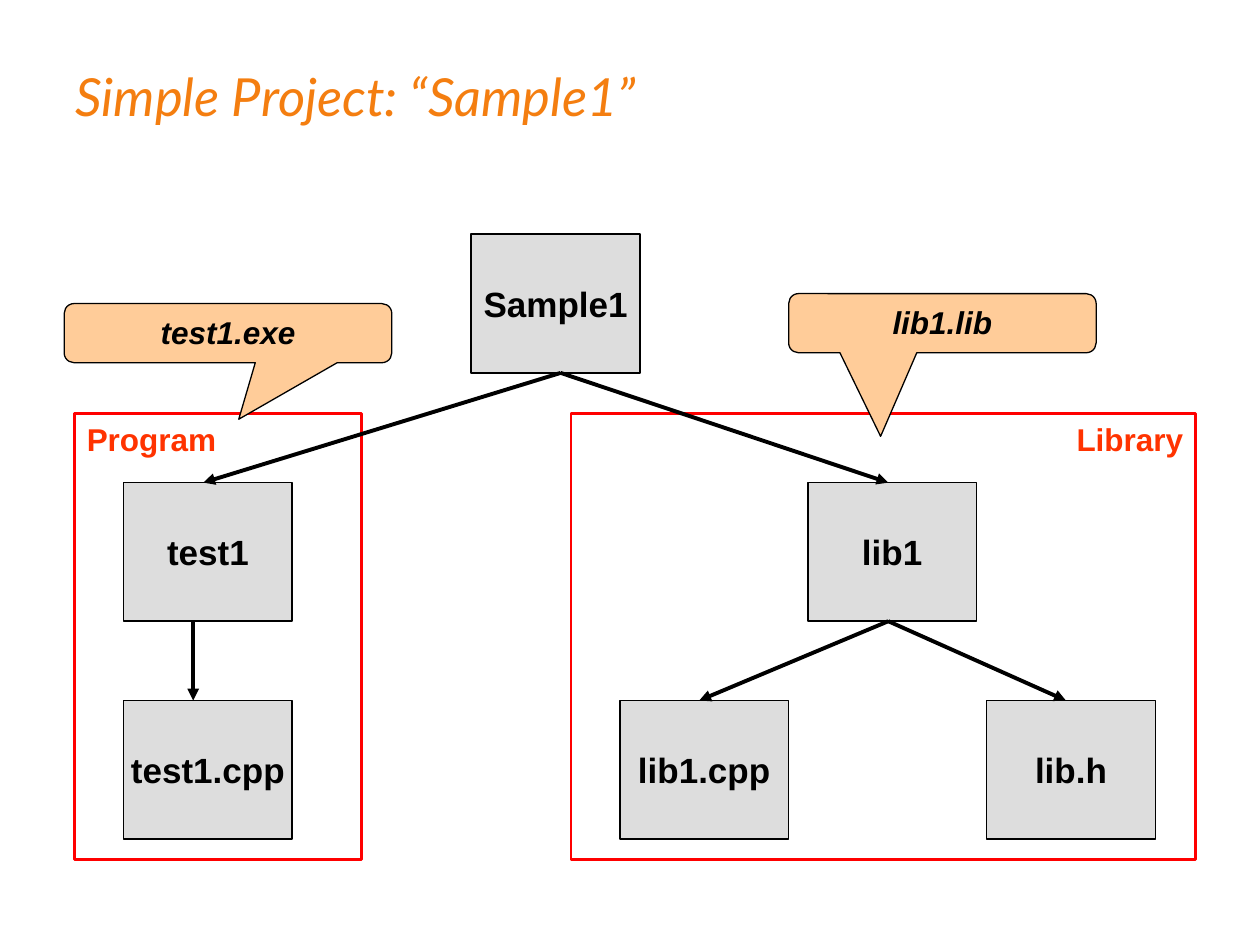
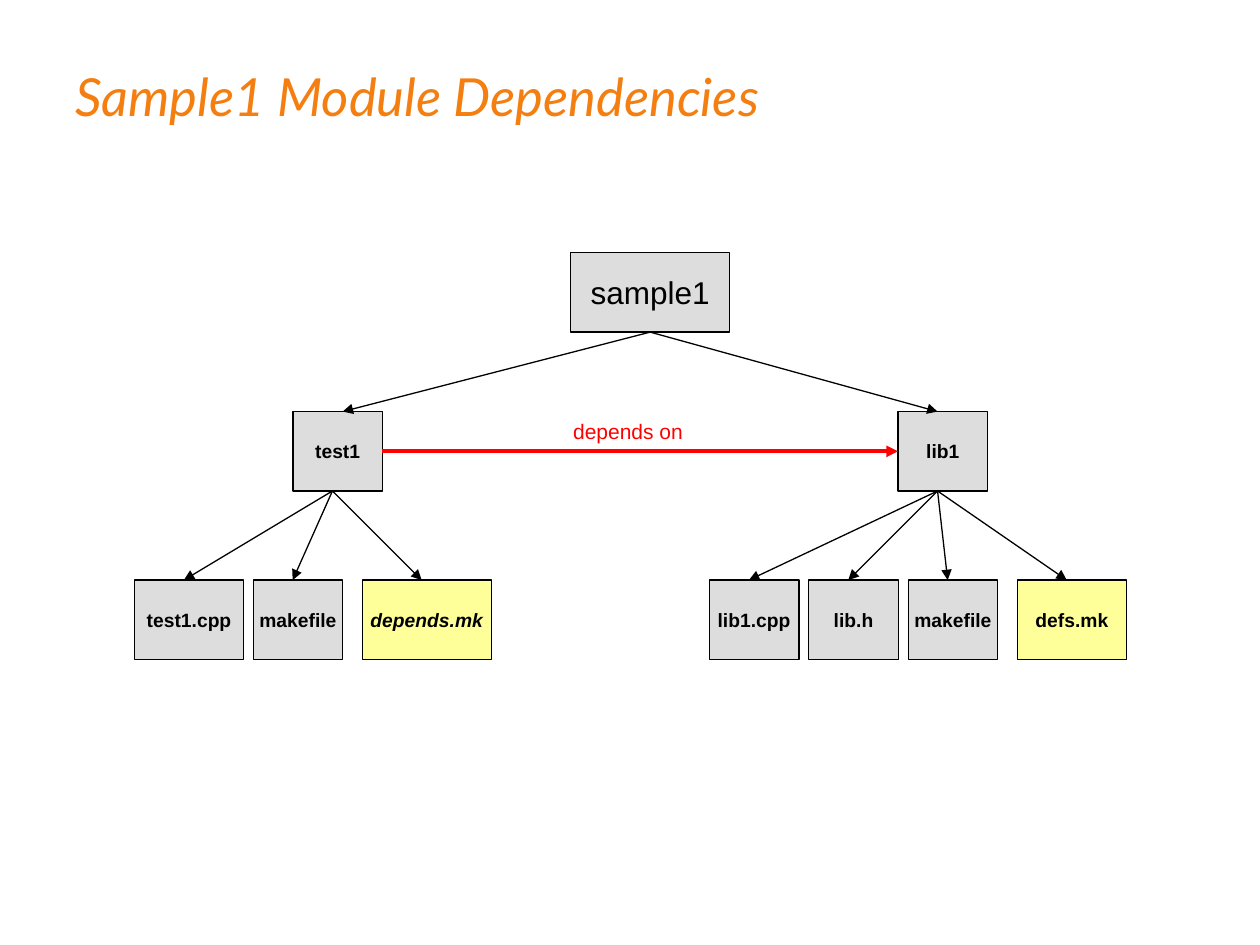
from pptx import Presentation
from pptx.dml.color import RGBColor
from pptx.enum import shapes, text
from pptx.oxml import xmlchemy
from pptx.util import Pt

ORANGE = RGBColor(0xF4, 0x7E, 0x10)
GREY = RGBColor(0xDD, 0xDD, 0xDD)
YELLOW = RGBColor(0xFF, 0xFF, 0x99)
PEACH = RGBColor(0xFF, 0xCC, 0x99)
RED = RGBColor(0xFF, 0x00, 0x00)
LABEL_RED = RGBColor(0xFF, 0x33, 0x00)
BLACK = RGBColor(0x00, 0x00, 0x00)

RECTANGLE = shapes.MSO_SHAPE.RECTANGLE
CALLOUT = shapes.MSO_SHAPE.ROUNDED_RECTANGULAR_CALLOUT
LEFT, CENTER, RIGHT = text.PP_ALIGN.LEFT, text.PP_ALIGN.CENTER, text.PP_ALIGN.RIGHT
TOP, MIDDLE = text.MSO_ANCHOR.TOP, text.MSO_ANCHOR.MIDDLE


def add_box(page, frame, label, size, fill=GREY, line=BLACK, weight=0.75, color=BLACK,
            bold=True, italic=False, align=CENTER, anchor=MIDDLE, wrap=False, preset=RECTANGLE):
    box = page.shapes.add_shape(preset, *[Pt(length) for length in frame])
    box.shadow.inherit = False
    if fill is None:
        box.fill.background()
    else:
        box.fill.solid()
        box.fill.fore_color.rgb = fill
    box.line.color.rgb = line
    box.line.width = Pt(weight)
    box.text_frame.word_wrap = wrap
    box.text_frame.vertical_anchor = anchor
    para = box.text_frame.paragraphs[0]
    para.text = label
    para.alignment = align
    para.font.name = "Arial"
    para.font.size = Pt(size)
    para.font.bold = bold
    para.font.italic = italic
    para.font.color.rgb = color
    return box


def add_arrow(page, start, end, weight, color=BLACK):
    arrow = page.shapes.add_connector(
        shapes.MSO_CONNECTOR.STRAIGHT, *[Pt(length) for length in start + end])
    arrow.line.color.rgb = color
    arrow.line.width = Pt(weight)
    outline = arrow.line._get_or_add_ln()
    outline.append(xmlchemy.OxmlElement("a:tailEnd"))
    outline[-1].set("type", "triangle")
    arrow._element.spPr.append(xmlchemy.OxmlElement("a:effectLst"))
    return arrow


deck = Presentation()
deck.slide_width = Pt(720)
deck.slide_height = Pt(540)

pages = []
for heading in ["Simple Project: “Sample1”", "Sample1 Module Dependencies"]:
    page = deck.slides.add_slide(deck.slide_layouts[6])
    title = page.shapes.add_textbox(Pt(36), Pt(9.4), Pt(648), Pt(90))
    title.text_frame.word_wrap = True
    title.text_frame.vertical_anchor = MIDDLE
    para = title.text_frame.paragraphs[0]
    para.text = heading
    para.font.name = "Lato"
    para.font.size = Pt(30)
    para.font.italic = True
    para.font.color.rgb = ORANGE
    pages.append(page)
project, dependencies = pages

NODE_WIDTH, NODE_HEIGHT = 96.5, 79.2
PROJECT_TOP, MODULE_TOP, FILE_TOP = 133.9, 275.8, 400.3
for label, left, top in [
    ("Sample1", 269.3, PROJECT_TOP),
    ("lib1.cpp", 354.2, FILE_TOP),
    ("lib.h", 563.8, FILE_TOP),
    ("lib1", 461.6, MODULE_TOP),
    ("test1", 70.6, MODULE_TOP),
    ("test1.cpp", 70.6, FILE_TOP),
]:
    add_box(project, (left, top, NODE_WIDTH, NODE_HEIGHT), label, 20, weight=1)

for label, left, width, align in [("Program", 42.5, 164.2, LEFT), ("Library", 326.2, 357.1, RIGHT)]:
    add_box(project, (left, 236.2, width, 254.9), label, 18, fill=None, line=RED, weight=1.5,
            color=LABEL_RED, align=align, anchor=TOP, wrap=True)

for label, left, top, width, pointer in [
    ("test1.exe", 36.7, 173.5, 187.2, (0.033, 1.456)),
    ("lib1.lib", 450.7, 167.8, 175.7, (-0.201, 1.914)),
]:
    callout = add_box(project, (left, top, width, 33.8), label, 18, fill=PEACH, italic=True,
                      anchor=TOP, wrap=True, preset=CALLOUT)
    callout.adjustments[0], callout.adjustments[1] = pointer

PROJECT_BOTTOM, MODULE_BOTTOM = PROJECT_TOP + NODE_HEIGHT, MODULE_TOP + NODE_HEIGHT
for start_x, start_y, end_x, end_y in [
    (507.6, MODULE_BOTTOM, 609.1, FILE_TOP),
    (110.4, MODULE_BOTTOM, 110.4, FILE_TOP),
    (507.6, MODULE_BOTTOM, 399.6, FILE_TOP),
    (320.4, PROJECT_BOTTOM, 116.2, MODULE_TOP),
    (320.4, PROJECT_BOTTOM, 507.6, MODULE_TOP),
]:
    add_arrow(project, (start_x, start_y), (end_x, end_y), 2.25)

BOX_WIDTH, BOX_HEIGHT = 51.1, 45.4
ROOT_TOP, BRANCH_TOP, LEAF_TOP = 144.4, 235.2, 331.5
ARROW_SHIFT = 3
root = add_box(dependencies, (326.2, ROOT_TOP, 90.7, BOX_HEIGHT), "sample1", 18, bold=False)

branches = []
for label, left, tip_x, leaves in [
    ("test1", 167.4, 195.8, [
        ("test1.cpp", 76.8, 62.6, GREY, False),
        ("makefile", 144.7, BOX_WIDTH, GREY, False),
        ("depends.mk", 207.1, 73.7, YELLOW, True),
    ]),
    ("lib1", 513.2, 535.8, [
        ("lib1.cpp", 405.4, BOX_WIDTH, GREY, False),
        ("lib.h", 462.2, BOX_WIDTH, GREY, False),
        ("makefile", 519, BOX_WIDTH, GREY, False),
        ("defs.mk", 581.3, 62.6, YELLOW, False),
    ]),
]:
    branches.append(add_box(dependencies, (left, BRANCH_TOP, BOX_WIDTH, BOX_HEIGHT), label, 11))
    add_arrow(dependencies, (371.5, ROOT_TOP + BOX_HEIGHT), (tip_x, BRANCH_TOP),
              0.75).begin_connect(root, 2)
    fork = (left + BOX_WIDTH / 2 - ARROW_SHIFT, BRANCH_TOP + BOX_HEIGHT)
    for leaf, leaf_left, width, fill, italic in leaves:
        add_box(dependencies, (leaf_left, LEAF_TOP, width, BOX_HEIGHT), leaf, 11,
                fill=fill, italic=italic)
        add_arrow(dependencies, fork, (leaf_left + width / 2 - ARROW_SHIFT, LEAF_TOP), 0.75)

test_branch, lib_branch = branches
depends_arrow = add_arrow(dependencies, (218.5, 257.9), (513.2, 257.9), 2.25, RED)
depends_arrow.begin_connect(test_branch, 3)
depends_arrow.end_connect(lib_branch, 1)

caption = dependencies.shapes.add_textbox(Pt(320.4), Pt(235.4), Pt(77), Pt(21.6))
caption.text_frame.word_wrap = False
para = caption.text_frame.paragraphs[0]
para.text = "depends on"
para.alignment = RIGHT
para.font.name = "Arial"
para.font.size = Pt(12)
para.font.color.rgb = RED

deck.save("out.pptx")
